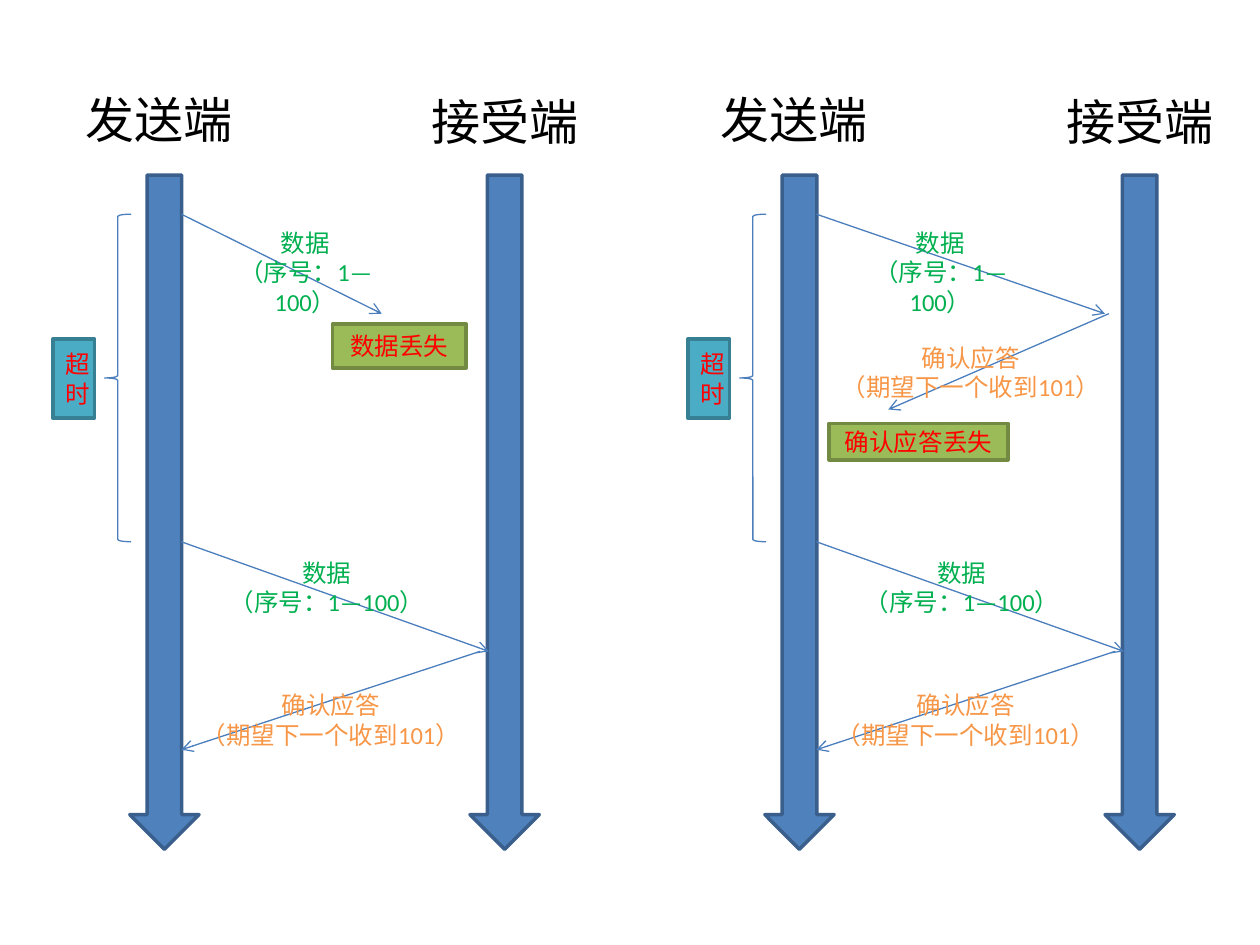
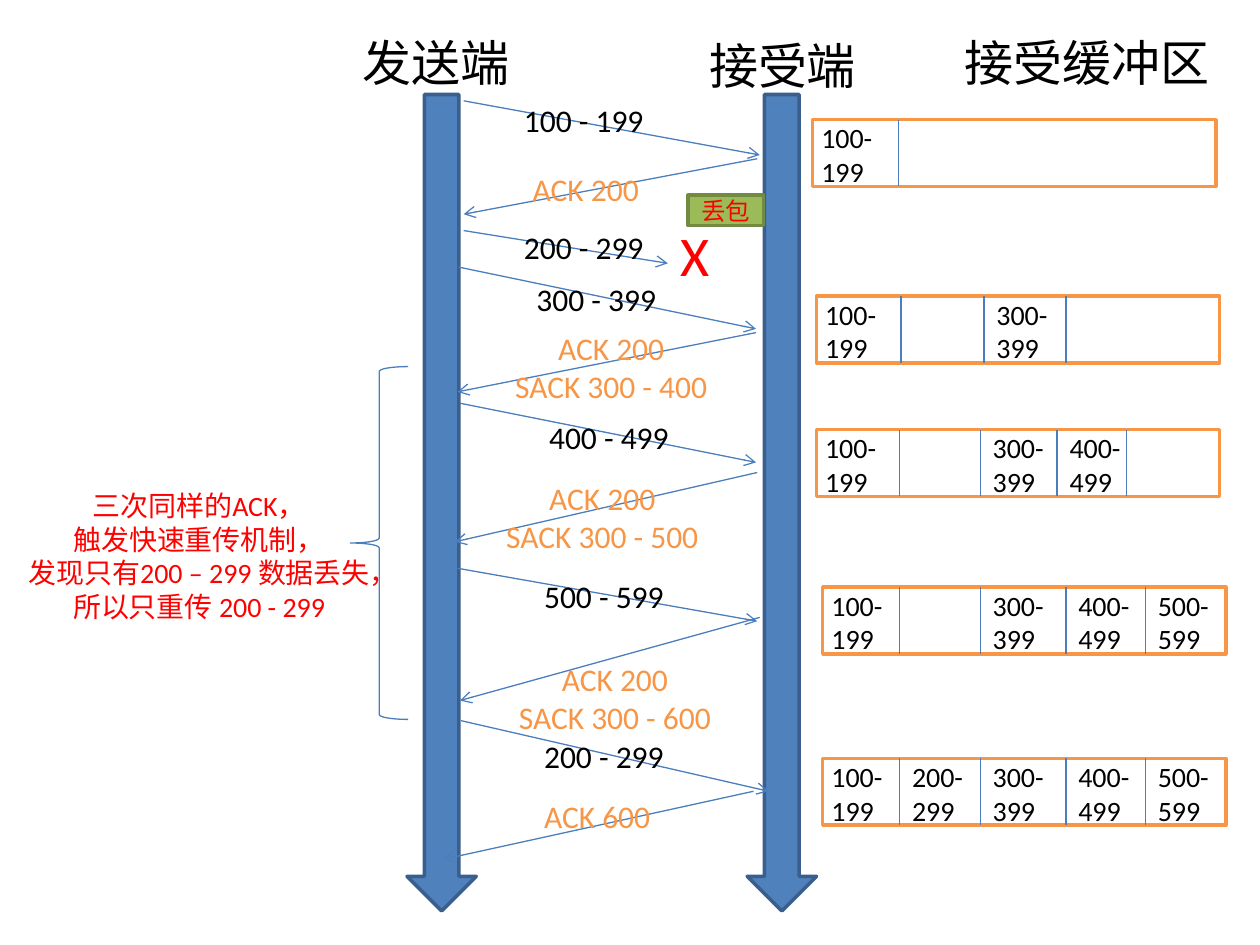
"""Two sequence diagrams: retransmission after a timeout, and selective acknowledgement."""
import pptx
import pptx.dml.color
import pptx.enum.shapes
import pptx.enum.text
import pptx.oxml
import pptx.oxml.ns
import pptx.util

SHAPES = pptx.enum.shapes.MSO_SHAPE
ALIGN = pptx.enum.text.PP_ALIGN
FONT = "Calibri"
BLACK, RED, GREEN, ORANGE = "000000", "FF0000", "00B050", "F79646"
LANE = ("4F81BD", "3A5F8C")
LOSS = ("9BBB59", "738A42")
TIMER = ("4BACC6", "377F92")
THIN = "4B7EBC"

deck = pptx.Presentation()
deck.slide_width = pptx.util.Inches(10)
deck.slide_height = pptx.util.Inches(7.5)
CELL = deck.slide_width // 100  # the slide is a grid of 100 columns and 75 rows


def colour(code):
    """Turn a hex string into a colour."""
    return pptx.dml.color.RGBColor.from_string(code)


def cells(*counts):
    """Turn grid counts into slide lengths."""
    return [round(count * CELL) for count in counts]


def inside(box, left, top, *size):
    """Shift a place given relative to a box onto the slide's grid."""
    return (box[0] + left, box[1] + top, *size)


def write(frame, text, size=14, ink=BLACK, align=ALIGN.LEFT):
    """Fill a text frame, one paragraph for each line of text."""
    frame.word_wrap = True
    frame.text = text
    for para in frame.paragraphs:
        para.alignment = align
        for span in para.runs:
            span.font.name = FONT
            span.font.size = pptx.util.Pt(size)
            span.font.color.rgb = colour(ink)


def label(page, place, text, **style):
    """Add a text box that grows with its text."""
    frame = page.shapes.add_textbox(*cells(*place)).text_frame
    write(frame, text, **style)
    frame.auto_size = pptx.enum.text.MSO_AUTO_SIZE.SHAPE_TO_FIT_TEXT


def block(page, place, kind=SHAPES.RECTANGLE, fill=None, line=THIN, weight=2, text=""):
    """Add a preset shape, with centred red text if any."""
    shape = page.shapes.add_shape(kind, *cells(*place))
    shape.shadow.inherit = False
    if fill:
        shape.fill.solid()
        shape.fill.fore_color.rgb = colour(fill)
    else:
        shape.fill.background()
    shape.line.color.rgb = colour(line)
    shape.line.width = pptx.util.Pt(weight)
    if text:
        shape.text_frame.vertical_anchor = pptx.enum.text.MSO_ANCHOR.MIDDLE
        write(shape.text_frame, text, ink=RED, align=ALIGN.CENTER)


def stroke(page, start, end, arrow=True):
    """Draw a thin line, with an arrowhead at its end if wanted."""
    line = page.shapes.add_connector(
        pptx.enum.shapes.MSO_CONNECTOR.STRAIGHT, *cells(*start, *end))
    line.line.color.rgb = colour(THIN)
    line.line.width = pptx.util.Pt(0.75)
    if arrow:
        head = pptx.oxml.parse_xml(
            f'<a:tailEnd {pptx.oxml.ns.nsdecls("a")} type="arrow"/>')
        line.line._get_or_add_ln().append(head)
    line._element.spPr.append(
        pptx.oxml.parse_xml(f'<a:effectLst {pptx.oxml.ns.nsdecls("a")}/>'))


def brace(page, place):
    """Add a brace that opens to the right."""
    block(page, place, SHAPES.LEFT_BRACE, weight=0.75)


def lanes(page, box, drop):
    """Draw sender and receiver: headings on top, arrows from drop to the bottom."""
    width, height = box[2:]
    for text, heading, left in (("发送端", (0, 0), 4.5),
                                ("接受端", (27.5, 0.2), width - 5.5)):
        block(page, inside(box, left, drop, 5.5, height - drop),
              SHAPES.DOWN_ARROW, *LANE)
        label(page, inside(box, *heading, 14.3, 5.7), text, size=28)


def timeout_panel(page, box, first_end, loss_place, loss_text, lost_reply=None):
    """Draw one timeout case; the first exchange fails, the second succeeds."""
    data = "数据\n（序号：1—100）"
    reply = "确认应答\n（期望下一个收到101）"
    lanes(page, inside(box, 5.8, 6.6, 37, 60.8), 7.3)
    signals = [((14.4, 17), first_end, data, GREEN, (16.2, 17.6, 16.1, 5.5)),
               ((14.4, 43), (38.8, 51.7), data, GREEN, (17.1, 43.8, 17.7, 5.7)),
               ((38.1, 51.7), (14.4, 59.5), reply, ORANGE, (13.3, 54.3, 25.9, 5.7))]
    if lost_reply:
        signals.append((*lost_reply, reply, ORANGE, (14.9, 26.7, 23.5, 5.7)))
    for start, end, text, ink, place in signals:
        stroke(page, inside(box, *start), inside(box, *end))
        label(page, inside(box, *place), text, ink=ink, align=ALIGN.CENTER)
    block(page, inside(box, *loss_place), fill=LOSS[0], line=LOSS[1], text=loss_text)
    brace(page, inside(box, 8.3, 17, 2.1, 26))
    block(page, inside(box, 4.2, 26.9, 3.3, 6.3),
          fill=TIMER[0], line=TIMER[1], text="超时")


def exchange(page, box):
    """Draw the segments and acknowledgements between the two lanes."""
    lanes(page, box, 5.4)
    segments = [  # start, end, text, place of the text
        ((9, 5.9), (32.5, 10.2), "100 - 199", (12.8, 5.4)),
        ((9, 16.2), (25.2, 18.8), "200 - 299", (12.8, 15.5)),
        ((8.6, 19.1), (32.2, 24), "300 - 399", (13.8, 19.6)),
        ((8.7, 29.9), (32.2, 34.6), "400 - 499", (14.8, 30.6)),
        ((8.5, 43), (32.3, 47.2), "500 - 599", (14.4, 43.2)),
        ((8.8, 55.1), (33.2, 60.7), "200 - 299", (14.4, 55.9))]
    replies = [
        ((32.3, 10.5), (9, 14.9), "ACK 200", (13.5, 10.9)),
        ((32.2, 24.3), (8.5, 29), "ACK 200\nSACK 300 - 400", (11.6, 23.5)),
        ((32.3, 35.4), (8.3, 40.9), "ACK 200\nSACK 300 - 500", (10.9, 35.4)),
        ((32.5, 46.9), (8.7, 53.5), "ACK 200\nSACK 300 - 600", (11.9, 49.8)),
        ((32, 60.7), (7.4, 66.1), "ACK 600", (14.4, 60.7))]
    for ink, signals in ((BLACK, segments), (ORANGE, replies)):
        for start, end, text, corner in signals:
            stroke(page, inside(box, *start), inside(box, *end))
            double = "\n" in text
            label(page, inside(box, *corner, *((18.2, 7.1) if double else (12.4, 4))),
                  text, size=18, ink=ink, align=ALIGN.CENTER if double else ALIGN.LEFT)
    label(page, inside(box, 25.2, 14.9, 4.9, 6.4), "X", size=32, ink=RED)
    block(page, inside(box, 26.8, 13.4, 6, 2.4), fill=LOSS[0], line=LOSS[1], text="丢包")


def retransmit_note(page, box):
    """Explain the fast retransmission beside a brace at the box's right edge."""
    left, top, width, height = box
    brace(page, (left + width - 4.6, top, 4.6, height))
    label(page, inside(box, 0, 9.2, 30.8, 11.7),
          "三次同样的ACK，\n触发快速重传机制，\n发现只有200 – 299 数据丢失，\n所以只重传 200 - 299",
          size=16, ink=RED, align=ALIGN.CENTER)


def buffer(page, box):
    """Draw the receive buffer after each segment that arrives."""
    label(page, inside(box, 11.1, 0, 23, 6.5), "接受缓冲区", size=28)
    a, b, c, d, e = [f"{start}-{start + 99}" for start in range(100, 600, 100)]
    states = [  # left, top, dividers, text of each slot
        (0, 7.4, [6.8], [a]),
        (0.3, 21.4, [7, 13.6, 20.1], [a, "", c]),
        (0.3, 32, [6.9, 13.3, 19.4, 24.9], [a, "", c, d]),
        (0.8, 44.5, [6.9, 13.3, 20.1, 26.4], [a, "", c, d, e]),
        (0.8, 58.1, [6.9, 13.3, 20.1, 26.4], [a, b, c, d, e])]
    for left, top, dividers, texts in states:
        block(page, inside(box, left, top, 32, 5.3), fill="FFFFFF", line=ORANGE)
        for x in dividers:
            stroke(page, inside(box, x, top), inside(box, x, top + 5.3), arrow=False)
        for x, text in zip([left - 0.3, *dividers], texts):
            if text:
                label(page, inside(box, x, top - 0.4, 6.8, 6.4), text, size=16)


def timeout_page(page):
    """Set a lost segment and a lost acknowledgement side by side."""
    timeout_panel(page, (0, 0), (30.3, 24.9), (26.4, 25.7, 10.6, 3.5), "数据丢失")
    timeout_panel(page, (50.4, 0), (37.3, 24.9), (15.4, 33.6, 14.2, 2.9),
                  "确认应答丢失", lost_reply=((37.6, 24.9), (20.1, 32.5)))


def sack_page(page):
    """Show the exchange, its explanation and the receive buffer."""
    exchange(page, (27.8, 2.1, 37, 70.2))
    retransmit_note(page, (0.4, 29.1, 32, 28))
    buffer(page, (64.5, 2.1))


for build in (timeout_page, sack_page):
    build(deck.slides.add_slide(deck.slide_layouts[6]))
deck.save("out.pptx")
